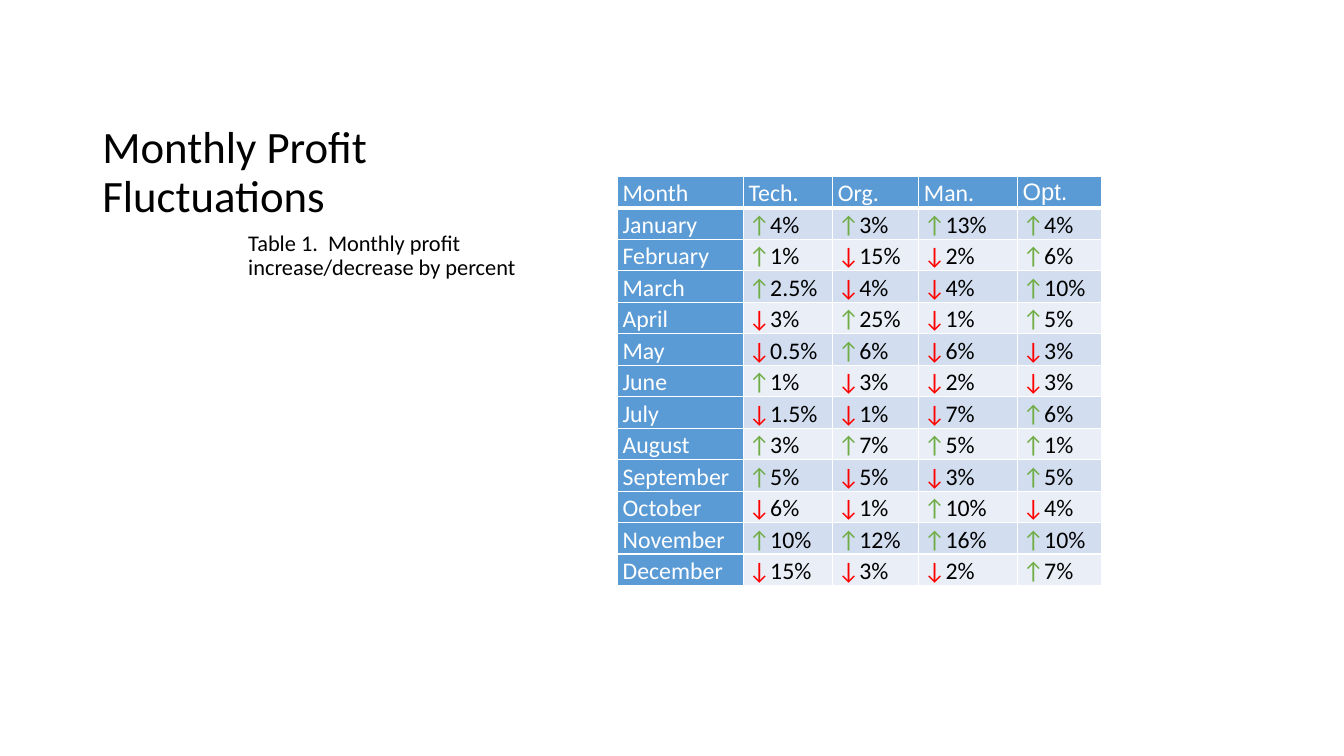
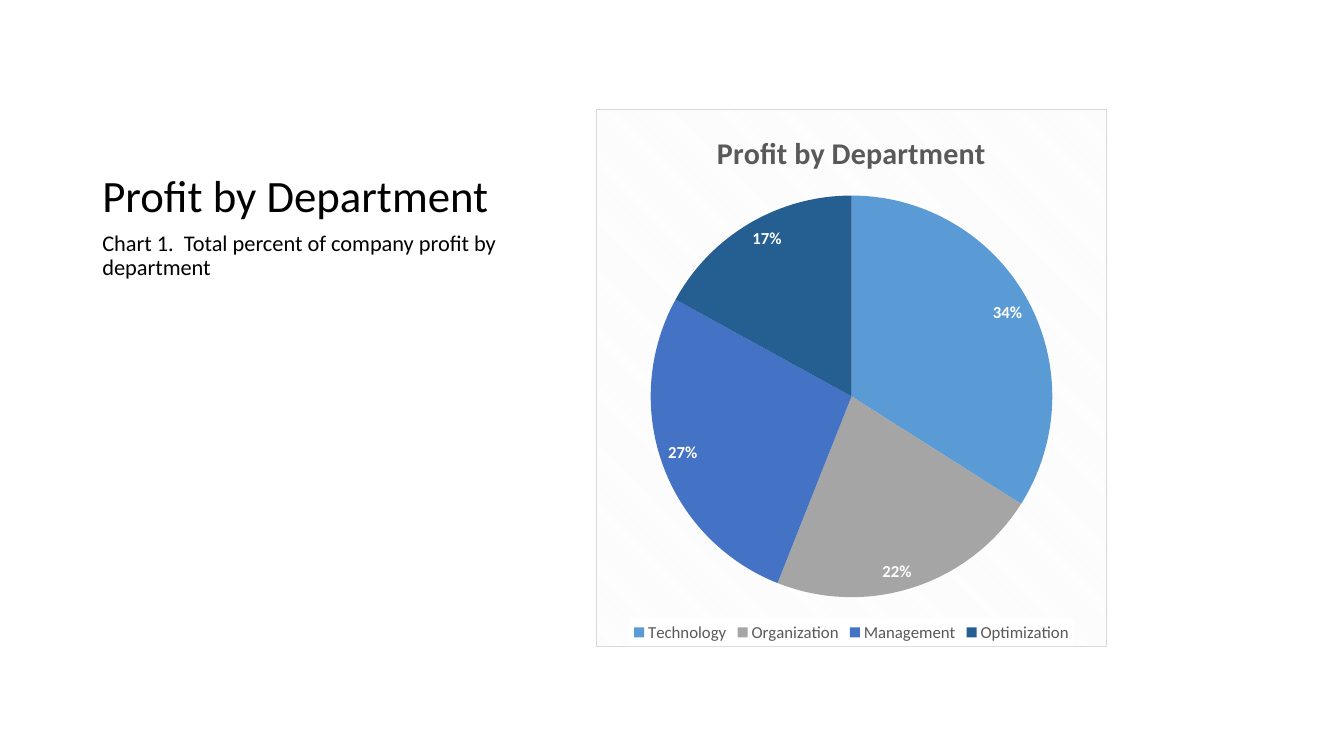
"""Build two slides on monthly profit changes and profit by department."""
from dataclasses import dataclass

from lxml.etree import SubElement
from pptx import Presentation
from pptx.chart.chart import Chart
from pptx.chart.data import CategoryChartData
from pptx.dml.color import RGBColor
from pptx.enum.chart import XL_CHART_TYPE as ChartType
from pptx.enum.chart import XL_LABEL_POSITION as LabelPosition
from pptx.enum.chart import XL_LEGEND_POSITION as LegendPosition
from pptx.enum.text import MSO_ANCHOR as Anchor
from pptx.oxml import parse_xml
from pptx.oxml.ns import nsdecls, qn
from pptx.slide import Slide
from pptx.table import _Cell as Cell
from pptx.text.text import Font
from pptx.util import Emu, Pt

FONT = "Calibri"
BLACK, WHITE, GRAY = "000000", "FFFFFF", "595959"
BLUE, GREEN, RED = "5B9BD5", "70AD47", "FF0000"
BANDS = ("D2DEEF", "EAEFF7")
COLUMN_WIDTHS = (120, 85, 82, 94, 80)
ROW_HEIGHT = 30
HEADINGS = ("Month", "Tech.", "Org.", "Man.", "Opt.")


@dataclass(frozen=True)
class Box:
    left: int
    top: int
    width: int
    height: int

    def emu(self) -> tuple[Emu, Emu, Emu, Emu]:
        return px(self.left), px(self.top), px(self.width), px(self.height)


@dataclass(frozen=True)
class Month:
    name: str
    changes: tuple[float, ...]


@dataclass(frozen=True)
class Department:
    name: str
    share: int
    color: str


TITLE_BOX = Box(88, 48, 413, 168)
MONTHS = (
    Month("January", (4, 3, 13, 4)),
    Month("February", (1, -15, -2, 6)),
    Month("March", (2.5, -4, -4, 10)),
    Month("April", (-3, 25, -1, 5)),
    Month("May", (-0.5, 6, -6, -3)),
    Month("June", (1, -3, -2, -3)),
    Month("July", (-1.5, -1, -7, 6)),
    Month("August", (3, 7, 5, 1)),
    Month("September", (5, -5, -3, 5)),
    Month("October", (-6, -1, 10, -4)),
    Month("November", (10, 12, 16, 10)),
    Month("December", (-15, -3, -2, 7)),
)
DEPARTMENTS = (
    Department("Technology", 34, BLUE),
    Department("Organization", 22, "A5A5A5"),
    Department("Management", 27, "4472C4"),
    Department("Optimization", 17, "255E91"),
)


def px(length: int) -> Emu:
    return Emu(length * 9525)


def rgb(color: str) -> RGBColor:
    return RGBColor.from_string(color)


def style_font(font: Font, size: float, color: str, bold: bool = False, name: str = FONT) -> None:
    font.name, font.size, font.bold = name, Pt(size), bold
    font.color.rgb = rgb(color)


def write_text(paragraph, text: str, *, size: float, color: str = BLACK, bold: bool = False,
               name: str = FONT, line_spacing: float = 0.9, space_before: int = 0) -> None:
    paragraph.line_spacing = line_spacing
    paragraph.space_before = Pt(space_before)
    run = paragraph.add_run()
    run.text = text
    style_font(run.font, size, color, bold, name)


def add_text_box(slide: Slide, box: Box, text: str, anchor: Anchor = Anchor.TOP, **text_format) -> None:
    frame = slide.shapes.add_textbox(*box.emu()).text_frame
    frame.word_wrap = True
    frame.vertical_anchor = anchor
    write_text(frame.paragraphs[0], text, **text_format)


def add_titled_slide(presentation, title: str, caption: str, caption_box: Box) -> Slide:
    slide = presentation.slides.add_slide(presentation.slide_layouts[6])
    add_text_box(slide, TITLE_BOX, title, Anchor.BOTTOM, size=32)
    add_text_box(slide, caption_box, caption, size=16, space_before=10)
    return slide


def format_cell(cell: Cell, fill: str, bottom_border: int = 1) -> None:
    cell.margin_left = cell.margin_right = px(5)
    cell.margin_top = cell.margin_bottom = 0
    properties = cell._tc.get_or_add_tcPr()
    for side, width in (("L", 1), ("R", 1), ("T", 1), ("B", bottom_border)):
        border = SubElement(properties, qn(f"a:ln{side}"), w=str(Pt(width)))
        border_fill = SubElement(border, qn("a:solidFill"))
        SubElement(border_fill, qn("a:srgbClr"), val=WHITE)
    cell.fill.solid()
    cell.fill.fore_color.rgb = rgb(fill)


def write_cell(cell: Cell, text: str, color: str, name: str = FONT) -> None:
    write_text(cell.text_frame.paragraphs[0], text, size=17, color=color, name=name, line_spacing=1.1)


def add_profit_table(slide: Slide) -> None:
    row_count = len(MONTHS) + 1
    box = Box(588, 168, sum(COLUMN_WIDTHS), ROW_HEIGHT * row_count)
    table = slide.shapes.add_table(row_count, len(HEADINGS), *box.emu()).table
    for column, width in zip(table.columns, COLUMN_WIDTHS):
        column.width = px(width)
    for index, heading in enumerate(HEADINGS):
        cell = table.cell(0, index)
        format_cell(cell, BLUE, bottom_border=3)
        write_cell(cell, heading, WHITE, "Arial" if heading == "Opt." else FONT)
    for row, month in enumerate(MONTHS, start=1):
        month_cell = table.cell(row, 0)
        format_cell(month_cell, BLUE)
        write_cell(month_cell, month.name, WHITE)
        for column, change in enumerate(month.changes, start=1):
            cell = table.cell(row, column)
            format_cell(cell, BANDS[(row - 1) % 2])
            arrow, color = ("↑", GREEN) if change > 0 else ("↓", RED)
            write_cell(cell, arrow, color)
            write_cell(cell, f"{abs(change):g}%", BLACK)


def fill_chart_background(chart: Chart) -> None:
    chart.element.find(qn("c:chart")).addnext(parse_xml(
        f'<c:spPr {nsdecls("c", "a")}><a:pattFill prst="dkDnDiag">'
        '<a:fgClr><a:srgbClr val="F2F2F2"/></a:fgClr>'
        f'<a:bgClr><a:srgbClr val="{WHITE}"/></a:bgClr></a:pattFill>'
        '<a:ln w="9525"><a:solidFill><a:srgbClr val="D9D9D9"/></a:solidFill></a:ln></c:spPr>'))
    legend_overlay = chart.element.find(f'.//{qn("c:legend")}/{qn("c:overlay")}')
    legend_overlay.addnext(parse_xml(
        f'<c:spPr {nsdecls("c", "a")}><a:solidFill><a:srgbClr val="{WHITE}"/></a:solidFill></c:spPr>'))


def add_profit_chart(slide: Slide) -> None:
    data = CategoryChartData()
    data.categories = [department.name for department in DEPARTMENTS]
    data.add_series("Series 1", [department.share for department in DEPARTMENTS])
    box = Box(568, 104, 486, 512)
    chart = slide.shapes.add_chart(ChartType.PIE, *box.emu(), data).chart
    style_font(chart.font, 10, BLACK)
    chart.has_title = True
    write_text(chart.chart_title.text_frame.paragraphs[0], "Profit by Department",
               size=21.6, color=GRAY, bold=True, line_spacing=1.0)
    chart.has_legend = True
    chart.legend.position = LegendPosition.BOTTOM
    chart.legend.include_in_layout = False
    style_font(chart.legend.font, 12, GRAY)
    plot = chart.plots[0]
    plot.vary_by_categories = True
    for index, department in enumerate(DEPARTMENTS):
        fill = plot.series[0].points[index].format.fill
        fill.solid()
        fill.fore_color.rgb = rgb(department.color)
    plot.has_data_labels = True
    labels = plot.data_labels
    labels.show_percentage, labels.show_value = True, False
    labels.number_format, labels.number_format_is_linked = "0%", False
    labels.position = LabelPosition.INSIDE_END
    style_font(labels.font, 12, WHITE, bold=True)
    fill_chart_background(chart)


def main() -> None:
    presentation = Presentation()
    presentation.slide_width, presentation.slide_height = px(1280), px(720)
    table_slide = add_titled_slide(presentation, "Monthly Profit Fluctuations",
                                   "Table 1.  Monthly profit increase/decrease by percent",
                                   Box(227, 216, 335, 400))
    add_profit_table(table_slide)
    chart_slide = add_titled_slide(presentation, "Profit by Department",
                                   "Chart 1.  Total percent of company profit by department",
                                   Box(88, 216, 413, 400))
    add_profit_chart(chart_slide)
    presentation.save("out.pptx")


if __name__ == "__main__":
    main()
